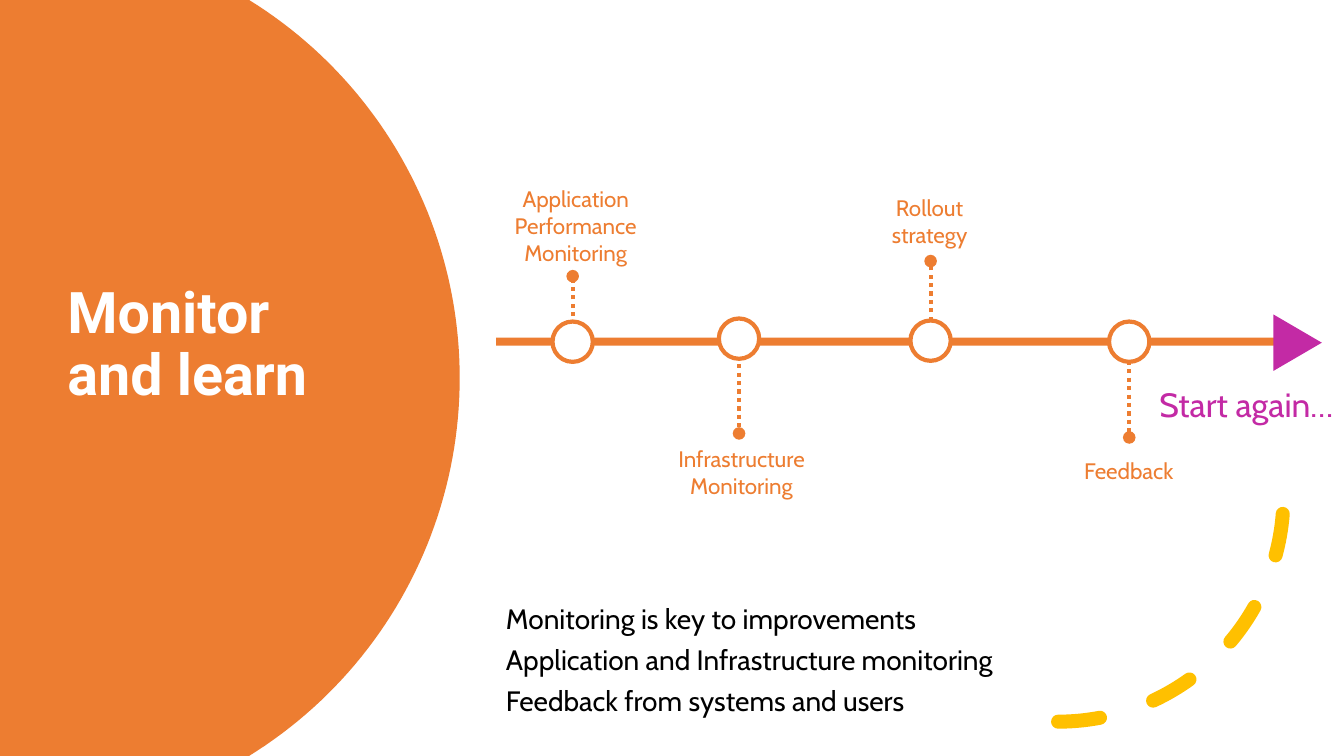
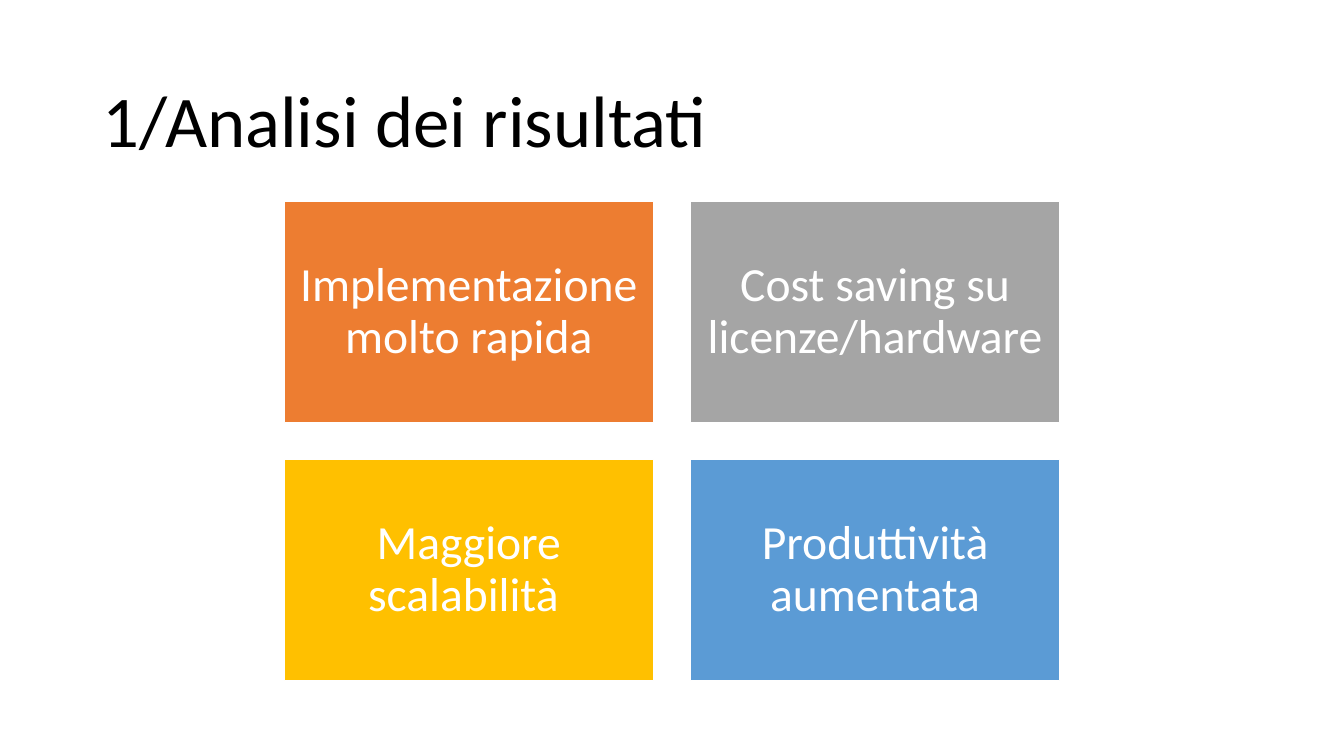
"""Build a monitoring timeline slide and a four-tile results slide."""
from dataclasses import dataclass
from math import asin, cos, sin

from pptx import Presentation
from pptx.dml.color import RGBColor as Rgb
from pptx.enum.dml import MSO_LINE as Dash
from pptx.enum.shapes import MSO_CONNECTOR as Link, MSO_SHAPE as Kind
from pptx.enum.text import MSO_ANCHOR as Anchor, PP_ALIGN as Align
from pptx.oxml.ns import qn
from pptx.util import Pt
from lxml.etree import SubElement as Sub

PX = 9144
WIDE, HIGH = 1333, 750


@dataclass(frozen=True)
class Theme:
    orange: str = "ED7D31"
    gold: str = "FFC000"
    gray: str = "A5A5A5"
    blue: str = "5B9BD5"
    pink: str = "C32AA5"
    white: str = "FFFFFF"
    black: str = "000000"
    head: str = "Roboto"
    body: str = "Cabin"
    plain: str = "Calibri"
    cover: int = 41
    title: int = 52
    tile: int = 34
    call: int = 24
    text: int = 20
    label: int = 16


T = Theme()

HEAD = "Monitor\vand learn"
CALL = "Start again…"
POINTS = [
    "Monitoring is key to improvements",
    "Application and Infrastructure monitoring",
    "Feedback from systems and users",
]
STEPS = [
    ("Application Performance Monitoring", (470, 206, 202, 35), 568, 319, (322, 274)),
    ("Infrastructure Monitoring", (641, 451, 189, 35), 733, 316, (353, 430)),
    ("Rollout strategy", (852, 202, 140, 35), 923, 318, (335, 259)),
    ("Feedback", (1038, 449, 163, 35), 1120, 319, (358, 434)),
]
RING = 40
RADIUS, EDGE, PARTS = 441, 456, 90

TITLE = "1/Analisi dei risultati"
TILES = [
    ("Implementazione molto rapida", T.orange),
    ("Cost saving su licenze/hardware", T.gray),
    ("Maggiore scalabilità ", T.gold),
    ("Produttività aumentata", T.blue),
]
TILE_W, TILE_H, GAP, TOP = 366, 219, 37, 200


def emu(box):
    return [round(n * PX) for n in box]


def write(shape, lines, font, size, color, align=Align.LEFT, anchor=Anchor.MIDDLE,
          inset=None, space=None, before=0, bold=False, wrap=True):
    frame = shape.text_frame
    frame.word_wrap = wrap
    frame.vertical_anchor = anchor
    if inset is not None:
        frame.margin_left = frame.margin_right = inset * PX
        frame.margin_top = frame.margin_bottom = inset * PX
    for i, line in enumerate(lines):
        para = frame.add_paragraph() if i else frame.paragraphs[0]
        para.text = line
        para.alignment = align
        if space:
            para.line_spacing = space
        if i and before:
            para.space_before = Pt(before)
        para.font.name, para.font.size, para.font.bold = font, Pt(size), bold
        para.font.color.rgb = Rgb.from_string(color)


def label(slide, box, lines, *style, **more):
    write(slide.shapes.add_textbox(*emu(box)), lines, *style, **more)


def stroke(line, color, width, dash=None):
    line.color.rgb = Rgb.from_string(color)
    line.width = Pt(width)
    if dash:
        line.dash_style = dash


def paint(shape, fill=None, edge=None, width=1):
    shape.shadow.inherit = False
    if fill:
        shape.fill.solid()
        shape.fill.fore_color.rgb = Rgb.from_string(fill)
    else:
        shape.fill.background()
    if edge:
        stroke(shape.line, edge, width)
    else:
        shape.line.fill.background()
    return shape


def draw(slide, kind, box, *style):
    return paint(slide.shapes.add_shape(kind, *emu(box)), *style)


def stem(slide, x, start, end):
    link = slide.shapes.add_connector(Link.STRAIGHT, *emu((x, start, x, end)))
    stroke(link.line, T.orange, 3, Dash.ROUND_DOT)
    props = link._element.spPr
    Sub(props.find(qn("a:ln")), qn("a:tailEnd"), type="oval")
    Sub(props, qn("a:effectLst"))


def disc(slide):
    half = asin(HIGH / 2 / RADIUS)
    turns = [half * (2 * i / PARTS - 1) for i in range(PARTS + 1)]
    curve = [emu((EDGE - RADIUS + RADIUS * cos(a), HIGH / 2 + RADIUS * sin(a)))
             for a in turns]
    path = slide.shapes.build_freeform(0, 0, 1.0)
    path.add_line_segments([*curve, (0, HIGH * PX)], close=True)
    paint(path.convert_to_shape(), T.orange)


def sweep(slide):
    arc = draw(slide, Kind.ARC, (826, 269, 447, 447), None, T.gold, 10)
    arc.line.dash_style = Dash.DASH
    props = arc._element.spPr
    props.find(qn("a:xfrm")).set("flipV", "1")
    props.find(qn("a:ln")).set("cap", "rnd")


def timeline(slide):
    disc(slide)
    label(slide, (57, 99, 350, 488), [HEAD], T.head, T.cover, T.white,
          space=0.9, bold=True)
    sweep(slide)
    draw(slide, Kind.RECTANGLE, (492, 335, 773, 8), T.orange)
    for name, box, x, top, ends in STEPS:
        stem(slide, x, *ends)
        draw(slide, Kind.OVAL, (x - RING // 2, top, RING, RING), T.white, T.orange, 3)
        label(slide, box, [name], T.body, T.label, T.orange, Align.CENTER, inset=0)
    label(slide, (1140, 376, 193, 50), [CALL], T.body, T.call, T.pink,
          anchor=Anchor.TOP, wrap=False)
    draw(slide, Kind.ISOSCELES_TRIANGLE, (1259, 316, 56, 48), T.pink).rotation = 90
    label(slide, (492, 598, 810, 125), POINTS, T.body, T.text, T.black,
          anchor=Anchor.TOP, space=0.8, before=10)


def results(slide):
    label(slide, (92, 61, 1150, 124), [TITLE], T.plain, T.title, T.black, space=0.9)
    left = (WIDE - 2 * TILE_W - GAP) // 2
    for i, (name, color) in enumerate(TILES):
        row, col = divmod(i, 2)
        box = (left + col * (TILE_W + GAP), TOP + row * (TILE_H + GAP), TILE_W, TILE_H)
        tile = draw(slide, Kind.RECTANGLE, box, color, T.white)
        write(tile, [name], T.plain, T.tile, T.white, Align.CENTER,
              inset=14, space=0.9)


def main():
    deck = Presentation()
    deck.slide_width, deck.slide_height = emu((WIDE, HIGH))
    for build in (timeline, results):
        build(deck.slides.add_slide(deck.slide_layouts[6]))
    deck.save("out.pptx")


if __name__ == "__main__":
    main()
